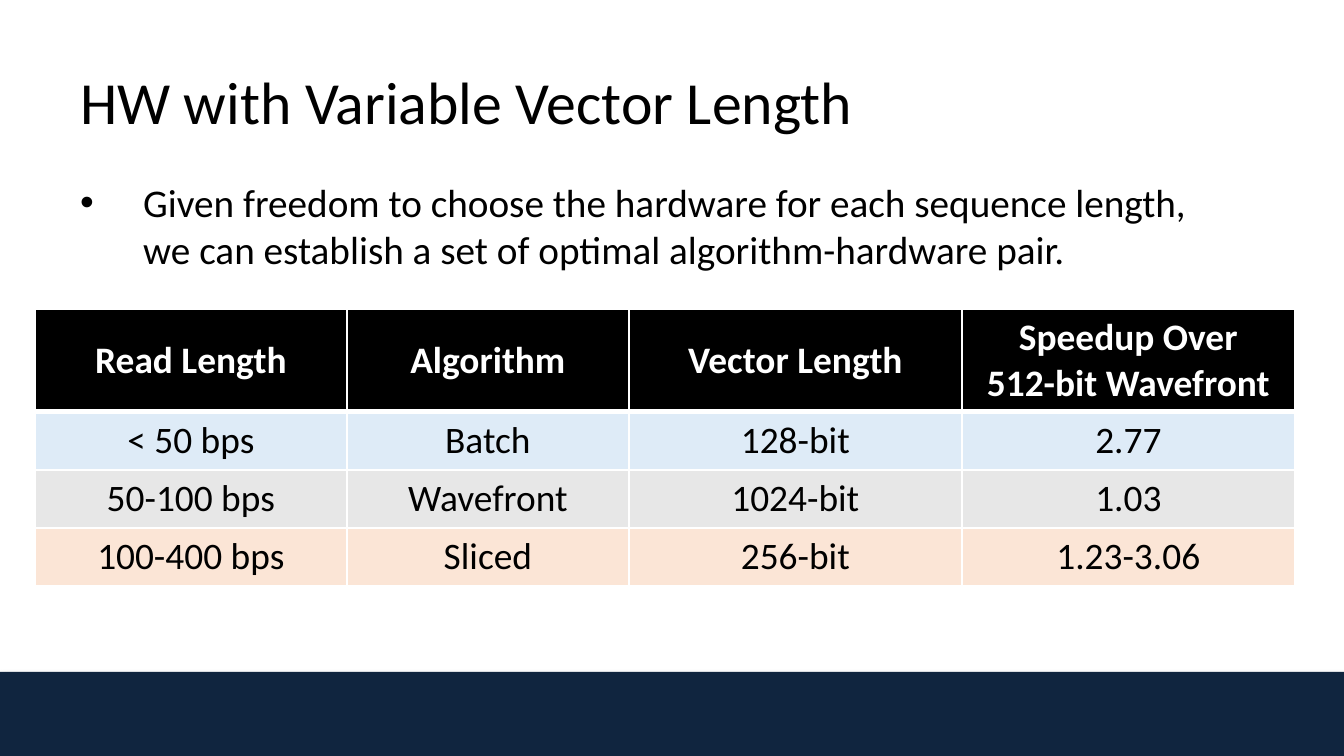
from lxml.etree import SubElement
from pptx import Presentation
from pptx.dml.color import RGBColor
from pptx.enum.shapes import MSO_SHAPE
from pptx.enum.text import MSO_ANCHOR, PP_ALIGN
from pptx.oxml.ns import qn
from pptx.util import Emu, Pt

PX = 914400 / 134.4
WIDTH, HEIGHT = 1344, 756
BLACK, WHITE, NAVY = "000000", "FFFFFF", "10253F"


def px(length):
    return Emu(round(length * PX))


def color(hex_text):
    return RGBColor.from_string(hex_text)


def add_xml(parent, tag, **attributes):
    return SubElement(parent, qn(tag), {key: str(value) for key, value in attributes.items()})


def write(frame, text, size=20, fill=BLACK, bold=False, align=PP_ALIGN.LEFT, bullet_indent=0):
    """Fill a text frame, one paragraph for each line of text."""
    for index, line in enumerate(text.split("\n")):
        paragraph = frame.add_paragraph() if index else frame.paragraphs[0]
        paragraph.alignment = align
        run = paragraph.add_run()
        run.text = line
        run.font.name = "Calibri"
        run.font.size = Pt(size)
        run.font.bold = bold
        run.font.color.rgb = color(fill)
        if bullet_indent:
            properties = paragraph._p.get_or_add_pPr()
            properties.set("marL", str(px(bullet_indent)))
            properties.set("indent", str(px(-bullet_indent)))
            add_xml(properties, "a:buFont", typeface="Arial")
            add_xml(properties, "a:buChar", char="•")


class SlideBuilder:
    def __init__(self, slide):
        self.slide = slide

    def band(self, left, top, width, height, fill):
        """Draw a filled rectangle with a soft shadow below it."""
        shape = self.slide.shapes.add_shape(
            MSO_SHAPE.RECTANGLE, px(left), px(top), px(width), px(height))
        shape.shadow.inherit = False
        shape.fill.solid()
        shape.fill.fore_color.rgb = color(fill)
        shape.line.fill.background()
        effects = shape._element.spPr.find(qn("a:effectLst"))
        shadow = add_xml(effects, "a:outerShdw", blurRad=Pt(3.1), dist=Pt(1.8),
                         dir=90 * 60000, rotWithShape=0)
        add_xml(add_xml(shadow, "a:srgbClr", val="808080"), "a:alpha", val=35000)

    def text(self, left, top, width, height, text, wrap=True, **style):
        box = self.slide.shapes.add_textbox(px(left), px(top), px(width), px(height))
        box.text_frame.word_wrap = wrap
        write(box.text_frame, text, **style)

    def table(self, left, top, columns, row_heights, rows, fills):
        shape = self.slide.shapes.add_table(
            len(rows), len(columns), px(left), px(top), px(sum(columns)), px(sum(row_heights)))
        table = shape.table
        for column, width in zip(table.columns, columns):
            column.width = px(width)
        for index, (row, height) in enumerate(zip(table.rows, row_heights)):
            row.height = px(height)
            header = index == 0
            for cell, text in zip(row.cells, rows[index]):
                cell.vertical_anchor = MSO_ANCHOR.MIDDLE
                cell.margin_top = cell.margin_bottom = px(6)
                self.borders(cell, top=3 if index == 1 else 1, bottom=3 if header else 1)
                cell.fill.solid()
                cell.fill.fore_color.rgb = color(fills[index])
                write(cell.text_frame, text, fill=WHITE if header else BLACK,
                      bold=header, align=PP_ALIGN.CENTER)

    def borders(self, cell, top, bottom):
        properties = cell._tc.get_or_add_tcPr()
        for side, width in (("L", 1), ("R", 1), ("T", top), ("B", bottom)):
            line = add_xml(properties, f"a:ln{side}", w=Pt(width))
            add_xml(add_xml(line, "a:solidFill"), "a:srgbClr", val=WHITE)


def main():
    presentation = Presentation()
    presentation.slide_width, presentation.slide_height = px(WIDTH), px(HEIGHT)
    builder = SlideBuilder(presentation.slides.add_slide(presentation.slide_layouts[6]))

    builder.band(0, 672, WIDTH, HEIGHT - 672, NAVY)
    builder.text(67, 58, 808, 86, "HW with Variable Vector Length", wrap=False, size=32)
    builder.text(
        67, 172, 1167, 109,
        "Given freedom to choose the hardware for each sequence length, "
        "we can establish a set of optimal algorithm-hardware pair.",
        size=21, bullet_indent=63)
    builder.table(
        35, 309, columns=[312, 282, 333, 333], row_heights=[103, 58, 58, 58],
        rows=[
            ["Read Length", "Algorithm", "Vector Length", "Speedup Over\n512-bit Wavefront"],
            ["< 50 bps", "Batch", "128-bit", "2.77"],
            ["50-100 bps", "Wavefront", "1024-bit", "1.03"],
            ["100-400 bps", "Sliced", "256-bit", "1.23-3.06"],
        ],
        fills=[BLACK, "DEEBF7", "E7E7E7", "FBE5D6"])

    presentation.save("out.pptx")


if __name__ == "__main__":
    main()
